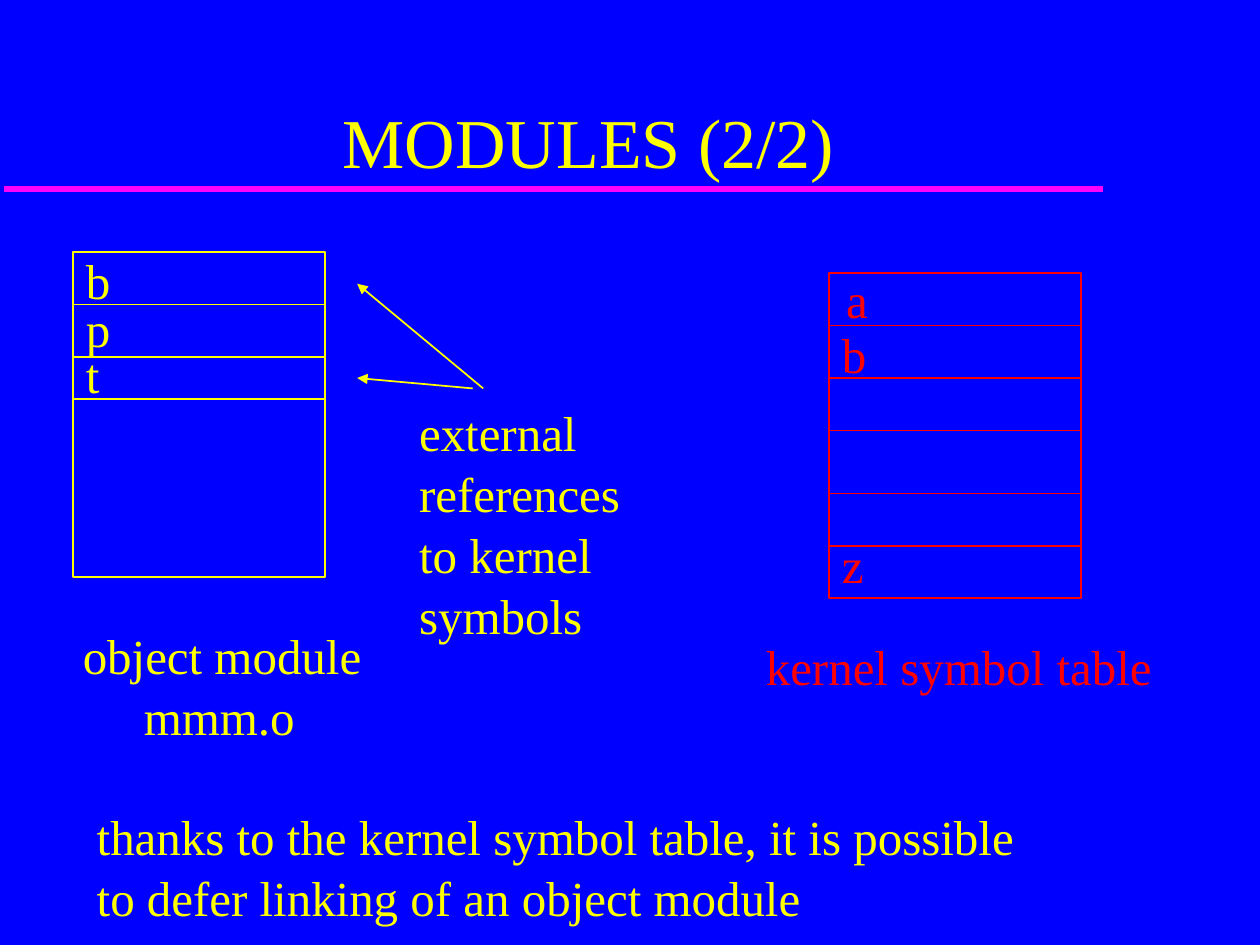
import pptx
import pptx.util
import pptx.dml.color
import pptx.enum.shapes
import pptx.enum.text
import pptx.oxml.ns
from lxml import etree

Cm = pptx.util.Cm
Pt = pptx.util.Pt
RGBColor = pptx.dml.color.RGBColor
Anchor = pptx.enum.text.MSO_ANCHOR
Align = pptx.enum.text.PP_ALIGN

BLUE = RGBColor(0x00, 0x00, 0xFF)
YELLOW = RGBColor(0xFF, 0xFF, 0x00)
RED = RGBColor(0xFF, 0x00, 0x00)
MAGENTA = RGBColor(0xFF, 0x00, 0xFF)


class Page:
    """The style and the current slide; lengths are in centimetres."""

    font = "Times New Roman"
    size = 28
    line_spacing = 1.04

    def __init__(self, deck):
        self.slide = deck.slides.add_slide(deck.slide_layouts[6])
        fill = self.slide.background.fill
        fill.solid()
        fill.fore_color.rgb = BLUE

    def text(self, left, top, width, height, lines, color=YELLOW, size=size,
             anchor=Anchor.TOP, align=Align.LEFT):
        box = self.slide.shapes.add_textbox(Cm(left), Cm(top), Cm(width), Cm(height))
        frame = box.text_frame
        frame.word_wrap = True
        frame.vertical_anchor = anchor
        frame.margin_right = Cm(0.25) if align == Align.CENTER else 0
        frame.text = "\n".join(lines)
        for para in frame.paragraphs:
            para.alignment = align
            para.line_spacing = self.line_spacing
            for span in para.runs:
                span.font.name = self.font
                span.font.size = Pt(size)
                span.font.color.rgb = color
        return frame

    def line(self, start, end, color=YELLOW, weight=1, arrow=False):
        connector = self.slide.shapes.add_connector(
            pptx.enum.shapes.MSO_CONNECTOR.STRAIGHT,
            Cm(start[0]), Cm(start[1]), Cm(end[0]), Cm(end[1]))
        connector.line.color.rgb = color
        connector.line.width = Pt(weight)
        if arrow:
            etree.SubElement(connector.line._get_or_add_ln(),
                             pptx.oxml.ns.qn("a:tailEnd"), type="triangle")
        etree.SubElement(connector._element.spPr, pptx.oxml.ns.qn("a:effectLst"))

    def ruled_box(self, left, top, width, height, rules, color):
        box = self.slide.shapes.add_shape(
            pptx.enum.shapes.MSO_SHAPE.RECTANGLE,
            Cm(left), Cm(top), Cm(width), Cm(height))
        box.shadow.inherit = False
        box.fill.background()
        box.line.color.rgb = color
        box.line.width = Pt(1)
        for rule in rules:
            self.line((left, rule), (left + width, rule), color)


def main():
    deck = pptx.Presentation()
    deck.slide_width, deck.slide_height = Cm(25.4), Cm(19.05)
    page = Page(deck)

    # Title and its rule
    page.line((0.08, 3.81), (22.23, 3.81), MAGENTA, 4)
    page.text(1.07, 0.74, 21.59, 3.07, ["MODULES (2/2)"], size=40,
              anchor=Anchor.BOTTOM, align=Align.CENTER)

    # Object module
    page.ruled_box(1.48, 5.08, 5.08, 6.56, [6.14, 7.2, 8.04], YELLOW)
    for symbol, top in [("b", 4.88), ("p", 5.84), ("t", 6.78)]:
        page.text(1.48, top, 1.04, 1.45, [symbol])
    caption = page.text(1.42, 12.47, 6.12, 2.64, ["object module", "mmm.o"],
                        anchor=Anchor.MIDDLE)
    caption.paragraphs[1]._p.get_or_add_pPr().set("marL", str(Cm(1.23)))

    # Kernel symbol table
    page.ruled_box(16.72, 5.5, 5.08, 6.56, [6.56, 7.62, 8.68, 9.95, 11.01], RED)
    for symbol, left, top in [("a", 16.81, 5.28), ("b", 16.72, 6.38), ("z", 16.72, 10.62)]:
        page.text(left, top, 1.02, 1.45, [symbol], RED, anchor=Anchor.MIDDLE)
    page.text(15.19, 12.67, 8.28, 1.45, ["kernel symbol table"], RED,
              anchor=Anchor.MIDDLE)

    # External references
    page.line((9.74, 7.83), (7.2, 5.72), arrow=True)
    page.line((9.53, 7.83), (7.2, 7.62), arrow=True)
    page.text(8.2, 8.03, 4.57, 5,
              ["external", "references", "to kernel", "symbols"],
              anchor=Anchor.MIDDLE)

    # Conclusion
    page.text(1.7, 16.08, 19.25, 3.66,
              ["thanks to the kernel symbol table, it is possible",
               "to defer linking of an object module"])

    deck.save("out.pptx")


if __name__ == "__main__":
    main()
